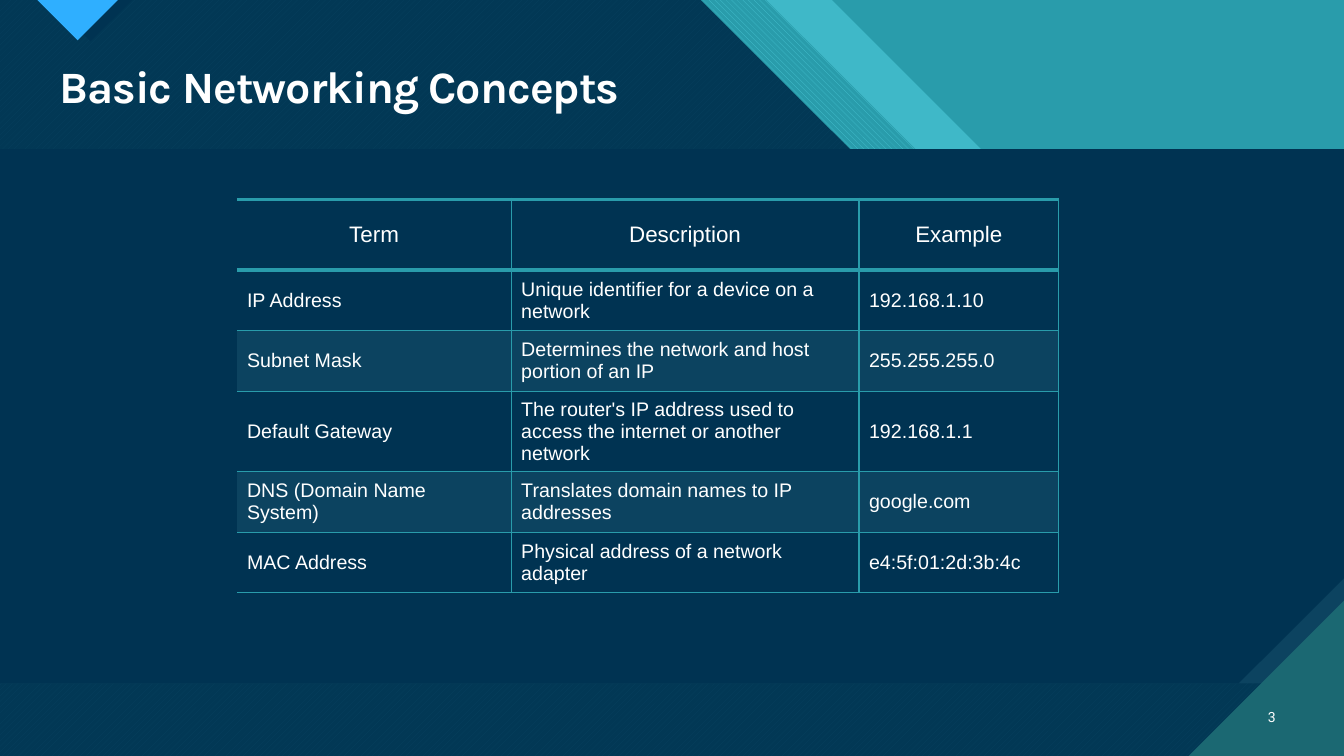
"""Build the slide on basic networking concepts."""
from dataclasses import dataclass

from lxml import etree
from pptx import Presentation
from pptx.dml.color import RGBColor
from pptx.enum.dml import MSO_PATTERN
from pptx.enum.shapes import MSO_SHAPE
from pptx.enum.text import MSO_ANCHOR, PP_ALIGN
from pptx.oxml.ns import qn
from pptx.util import Inches, Pt

UP, DOWN = MSO_PATTERN.WIDE_UPWARD_DIAGONAL, MSO_PATTERN.WIDE_DOWNWARD_DIAGONAL
SNIP = MSO_SHAPE.SNIP_1_RECTANGLE
TOP, MIDDLE = MSO_ANCHOR.TOP, MSO_ANCHOR.MIDDLE
LEFT, CENTER, RIGHT = PP_ALIGN.LEFT, PP_ALIGN.CENTER, PP_ALIGN.RIGHT

WIDE, HIGH, SLANT = 13.33, 7.5, 2.97
NAVY, SLATE, TEAL, AQUA = "003352", "0C4360", "299CAB", "47C3D3"
PINE, BLUE, WHITE = "1B6872", "2FAFFF", "FFFFFF"


@dataclass
class Paint:
    color: str
    alpha: int = 100
    back: str = ""
    hatch: MSO_PATTERN = UP


@dataclass
class Poly:
    points: list[tuple[float, float]]
    paint: Paint


@dataclass
class Panel:
    snip: float
    color: str


@dataclass
class Label:
    text: str
    box: tuple[float, float, float, float]
    font: str
    size: int
    bold: bool
    align: PP_ALIGN
    anchor: MSO_ANCHOR
    line: float = 1.0
    track: int = 0


def band(edge: float, paint: Paint) -> Poly:
    """Return a layer whose right edge slants down from the top."""
    return Poly([(0, 0), (edge, 0), (edge + SLANT, SLANT), (WIDE, SLANT),
                 (WIDE, HIGH), (0, HIGH)], paint)


BANDS = [
    band(8.25, Paint(AQUA, 74)),
    band(7.6, Paint(AQUA, back=TEAL, hatch=DOWN)),
    band(6.95, Paint(AQUA, back=PINE, hatch=UP)),
    band(6.95, Paint(NAVY, 90)),
    Poly([(0.48, 0), (1.31, 0), (0.9, 0.41)], Paint(NAVY)),
    Poly([(0.37, 0), (1.17, 0), (0.77, 0.4)], Paint(BLUE)),
]
PANELS = [Panel(0, SLATE), Panel(0.197, NAVY)]
CORNER = Poly([(11.79, HIGH), (WIDE, HIGH), (WIDE, 5.96)], Paint(PINE))
LABELS = [
    Label("Basic Networking Concepts", (0.49, 0.59, 12.26, 0.59), "Karla", 32,
          True, LEFT, TOP, 0.9, -70),
    Label("3", (12.31, 6.91, 0.44, 0.4), "Roboto", 10, False, RIGHT, MIDDLE),
]
COLS = [2.72, 3.45, 1.98]
ROWS = [
    ("Term", "Description", "Example"),
    ("IP Address", "Unique identifier for a device on a network", "192.168.1.10"),
    ("Subnet Mask", "Determines the network and host portion of an IP",
     "255.255.255.0"),
    ("Default Gateway",
     "The router's IP address used to access the internet or another network",
     "192.168.1.1"),
    ("DNS (Domain Name System)", "Translates domain names to IP addresses",
     "google.com"),
    ("MAC Address", "Physical address of a network adapter", "e4:5f:01:2d:3b:4c"),
]


def rgb(code: str) -> RGBColor:
    """Return the colour of a hex string."""
    return RGBColor.from_string(code)


def coat(shape, paint: Paint) -> None:
    """Fill a shape and clear its line and shadow."""
    shape.shadow.inherit = False
    shape.line.fill.background()
    if paint.back:
        shape.fill.patterned()
        shape.fill.pattern = paint.hatch
        shape.fill.fore_color.rgb = rgb(paint.color)
        shape.fill.back_color.rgb = rgb(paint.back)
        return
    shape.fill.solid()
    shape.fill.fore_color.rgb = rgb(paint.color)
    if paint.alpha < 100:
        tint = shape._element.spPr.find(".//" + qn("a:srgbClr"))
        etree.SubElement(tint, qn("a:alpha")).set("val", str(paint.alpha * 1000))


def draw_poly(slide, poly: Poly) -> None:
    """Draw a filled outline."""
    first, *rest = [(Inches(x), Inches(y)) for x, y in poly.points]
    path = slide.shapes.build_freeform(*first)
    path.add_line_segments(rest, close=True)
    coat(path.convert_to_shape(), poly.paint)


def draw_panel(slide, panel: Panel) -> None:
    """Draw a body panel with its lower right corner cut."""
    shape = slide.shapes.add_shape(SNIP, 0, Inches(1.48), Inches(WIDE), Inches(5.3))
    shape.adjustments[0] = panel.snip
    shape._element.spPr.xfrm.set("flipV", "1")
    coat(shape, Paint(panel.color))


def style(part, name: str, size: int, bold: bool, align: PP_ALIGN) -> None:
    """Format the first paragraph of a text frame."""
    part.alignment = align
    for run in part.runs:
        run.font.name, run.font.size, run.font.bold = name, Pt(size), bold
        run.font.color.rgb = rgb(WHITE)


def draw_label(slide, label: Label) -> None:
    """Draw a text box."""
    frame = slide.shapes.add_textbox(*map(Inches, label.box)).text_frame
    frame.word_wrap, frame.vertical_anchor = True, label.anchor
    frame.text = label.text
    part = frame.paragraphs[0]
    part.line_spacing = label.line
    style(part, label.font, label.size, label.bold, label.align)
    if label.track:
        part.runs[0].font._element.set("spc", str(label.track))


def rule(cell, side: str, width: float) -> None:
    """Set one border of a cell, or none at zero width."""
    line = etree.SubElement(cell._tc.get_or_add_tcPr(), qn("a:ln" + side))
    line.set("w", str(Pt(width)))
    if width:
        fill = etree.SubElement(line, qn("a:solidFill"))
        etree.SubElement(fill, qn("a:srgbClr")).set("val", TEAL)
    else:
        etree.SubElement(line, qn("a:noFill"))


def draw_table(slide) -> None:
    """Draw the table of terms."""
    table = slide.shapes.add_table(len(ROWS), len(COLS), Inches(2.35), Inches(1.98),
                                   Inches(sum(COLS)), Inches(3.7)).table
    table.horz_banding = False
    for col, width in zip(table.columns, COLS):
        col.width = Inches(width)
    for i, texts in enumerate(ROWS):
        head = i == 0
        table.rows[i].height = Inches(0.7 if head else 0.6)
        for j, text in enumerate(texts):
            cell = table.cell(i, j)
            cell.text, cell.vertical_anchor = text, MIDDLE
            style(cell.text_frame.paragraphs[0], "Arial", 16 if head else 14,
                  False, CENTER if head else LEFT)
            rule(cell, "L", 1 if j else 0)
            rule(cell, "R", 1)
            rule(cell, "T", 3 if i < 2 else 1)
            rule(cell, "B", 3 if head else 1)
            if i in (2, 4):
                cell.fill.solid()
                cell.fill.fore_color.rgb = rgb(SLATE)
            else:
                cell.fill.background()


def main() -> None:
    """Build and save the deck."""
    deck = Presentation()
    deck.slide_width, deck.slide_height = Inches(WIDE), Inches(HIGH)
    slide = deck.slides.add_slide(deck.slide_layouts[6])
    slide.background.fill.solid()
    slide.background.fill.fore_color.rgb = rgb(TEAL)
    for poly in BANDS:
        draw_poly(slide, poly)
    for panel in PANELS:
        draw_panel(slide, panel)
    draw_poly(slide, CORNER)
    for label in LABELS:
        draw_label(slide, label)
    draw_table(slide)
    deck.save("out.pptx")


if __name__ == "__main__":
    main()
